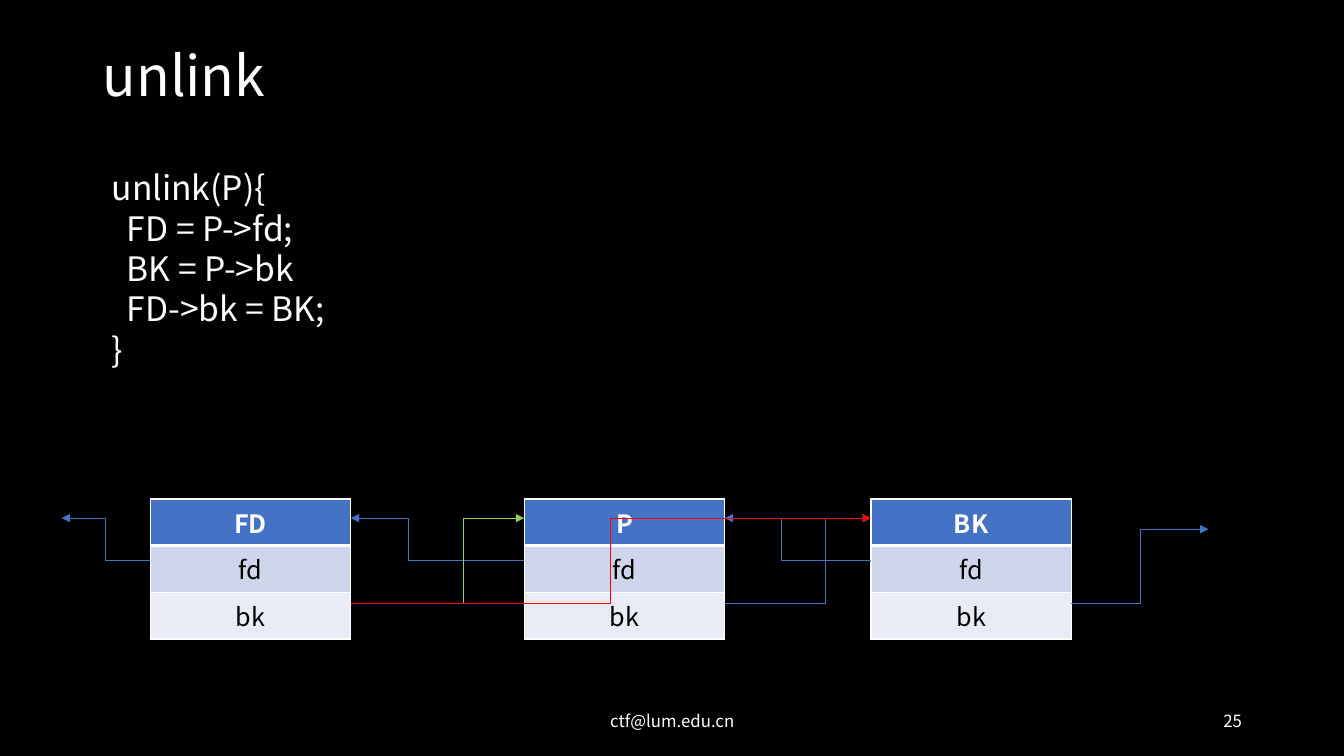
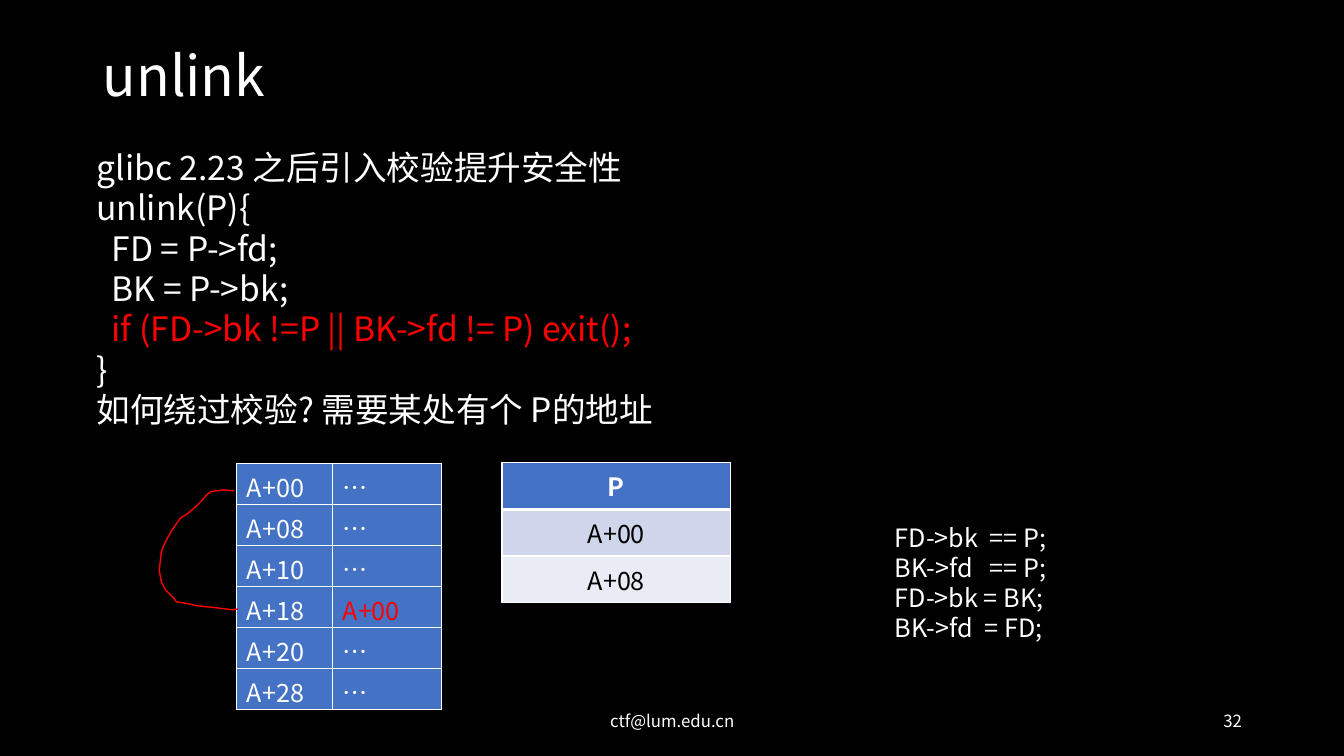
from dataclasses import dataclass

from lxml import etree
from pptx import Presentation
from pptx.dml.color import RGBColor
from pptx.enum.shapes import MSO_CONNECTOR
from pptx.enum.text import MSO_ANCHOR, PP_ALIGN
from pptx.oxml.ns import qn
from pptx.util import Pt

ELBOW = MSO_CONNECTOR.ELBOW
MID, TOP = MSO_ANCHOR.MIDDLE, MSO_ANCHOR.TOP
LEFT, MIDDLE, RIGHT = PP_ALIGN.LEFT, PP_ALIGN.CENTER, PP_ALIGN.RIGHT
UNIT = 9144  # EMU in one px, 100 px to the inch


@dataclass(frozen=True)
class Theme:
    font: str = "Noto Sans CJK SC"
    back: str = "000000"
    white: str = "FFFFFF"
    black: str = "000000"
    blue: str = "4472C4"
    pale: str = "CFD5EA"
    light: str = "E9EBF5"
    green: str = "92D050"
    red: str = "FF0000"
    title: float = 39.6
    code: int = 24
    body: int = 18
    small: int = 12


T = Theme()


def px(*nums):
    return [round(n * UNIT) for n in nums]


def rgb(code):
    return RGBColor.from_string(code)


def sub(node, tag, **attrs):
    return etree.SubElement(node, qn(tag), attrs)


# Text
def add_run(para, text, size, color=T.white, bold=False):
    run = para.add_run()
    run.text = text
    font = run.font
    font.name, font.size, font.bold = T.font, Pt(size), bold
    font.color.rgb = rgb(color)
    sub(font._element, "a:ea", typeface=T.font)


def add_text(slide, box, lines, size, anchor=TOP, align=LEFT, space=None):
    """Each line is (text, color, indent, tab stop), all but the text optional."""
    frame = slide.shapes.add_textbox(*px(*box)).text_frame
    frame.word_wrap = True
    frame.vertical_anchor = anchor
    for i, line in enumerate(lines):
        text, color, indent, stop = line + (T.white, 0, 0)[len(line) - 1:]
        para = frame.add_paragraph() if i else frame.paragraphs[0]
        para.alignment = align
        if space:
            para.line_spacing = space
        props = para._p.get_or_add_pPr()
        if indent:
            props.set("marL", str(indent * UNIT))
            props.set("indent", "0")
        if stop:
            tabs = sub(props, "a:tabLst")
            sub(tabs, "a:tab", pos=str(stop * UNIT), algn="l")
        add_run(para, text, size, color)


# Tables
def edge(cell, top=1, base=1):
    props = cell._tc.get_or_add_tcPr()
    for side, width in (("L", 1), ("R", 1), ("T", top), ("B", base)):
        line = sub(props, "a:ln" + side, w=str(Pt(width)))
        sub(sub(line, "a:solidFill"), "a:srgbClr", val=T.white)


def add_grid(slide, left, top, height, cols, rows):
    shape = slide.shapes.add_table(
        rows, len(cols), *px(left, top, sum(cols), height))
    table = shape.table
    table.first_row = table.horz_banding = False
    for col, width in zip(table.columns, cols):
        col.width = px(width)[0]
    return table


def fill_cell(cell, text, fill, color, align=LEFT, bold=False):
    cell.fill.solid()
    cell.fill.fore_color.rgb = rgb(fill)
    para = cell.text_frame.paragraphs[0]
    para.alignment = align
    add_run(para, text, T.body, color, bold)


def add_chunk(slide, left, top, width, texts):
    """Heap chunk: a header over its two pointers."""
    table = add_grid(slide, left, top, 139, [width], 3)
    looks = ((T.blue, T.white, 1, 3), (T.pale, T.black, 3, 1),
             (T.light, T.black, 1, 1))
    for i, (text, look) in enumerate(zip(texts, looks)):
        fill, color, high, low = look
        cell = table.cell(i, 0)
        edge(cell, high, low)
        fill_cell(cell, text, fill, color, MIDDLE, i == 0)


def add_dump(slide, left, top, rows):
    """Memory dump: address and value."""
    table = add_grid(slide, left, top, 244, [95, 108], len(rows))
    for i, row in enumerate(rows):
        for j, text in enumerate(row):
            cell = table.cell(i, j)
            edge(cell)
            hot = j == 1 and text != "…"
            fill_cell(cell, text, T.blue, T.red if hot else T.white)


# Lines
def add_link(slide, start, end, color, turn=50):
    """Elbow arrow that turns at a percentage of its width."""
    link = slide.shapes.add_connector(ELBOW, *px(*start, *end))
    link.line.color.rgb = rgb(color)
    link.line.width = Pt(0.5)
    props = link._element.spPr
    guides = props.find(qn("a:prstGeom")).get_or_add_avLst()
    sub(guides, "a:gd", name="adj1", fmla=f"val {turn * 1000}")
    sub(link.line._get_or_add_ln(), "a:tailEnd", type="triangle")
    sub(props, "a:effectLst")


def add_curve(slide, left, top, dots):
    spots = [(left + x, top + y) for x, y in dots]
    pen = slide.shapes.build_freeform(*spots[0], scale=UNIT)
    pen.add_line_segments(spots[1:], close=False)
    shape = pen.convert_to_shape()
    shape.fill.background()
    shape.line.color.rgb = rgb(T.red)
    shape.line.width = Pt(1)
    shape.shadow.inherit = False


# Shared frame of a slide
def add_slide(deck, number):
    slide = deck.slides.add_slide(deck.slide_layouts[6])
    slide.background.fill.solid()
    slide.background.fill.fore_color.rgb = rgb(T.back)
    add_text(slide, (92, 40, 1150, 75), [("unlink",)], T.title, MID, space=0.9)
    add_text(slide, (442, 695, 450, 40), [("ctf@lum.edu.cn",)],
             T.small, MID, MIDDLE)
    add_text(slide, (942, 695, 300, 40), [(str(number),)], T.small, MID, RIGHT)
    return slide


# Linked list of chunks
def add_list(slide, top):
    width = 199
    left, mid, right = 149, 520, 864
    for x, name in ((mid, "P"), (right, "BK"), (left, "FD")):
        add_chunk(slide, x, top, width, (name, "fd", "bk"))
    head, fd, bk = top + 19, top + 61, top + 104
    links = (
        (mid, fd, left + width, head, T.blue, 67),
        (left + width, bk, mid, head, T.green, 65),
        (mid + width, bk, right, head, T.blue, 69),
        (right, fd, mid + width, head, T.blue, 61),
        (right + width, bk, 1199, top + 30, T.blue, 50),
        (left, fd, 61, head, T.blue, 50),
        (left + width, bk, right, head, T.red, 50),
    )
    for x, y, to_x, to_y, color, turn in links:
        add_link(slide, (x, y), (to_x, to_y), color, turn)


def draw_list(deck):
    slide = add_slide(deck, 25)
    add_text(slide, (101, 161, 495, 212), [
        ("unlink(P){",),
        ("FD = P->fd;", T.white, 15),
        ("BK = P->bk", T.white, 15),
        ("FD->bk = BK;", T.white, 15),
        ("}",),
    ], T.code)
    add_list(slide, 495)


def draw_check(deck):
    slide = add_slide(deck, 32)
    add_chunk(slide, 498, 459, 227, ("P", "A+00", "A+08"))
    add_text(slide, (86, 141, 1162, 293), [
        ("glibc 2.23 之后引入校验提升安全性",),
        ("unlink(P){",),
        ("FD = P->fd;", T.white, 15),
        ("BK = P->bk;", T.white, 15),
        ("if (FD->bk !=P || BK->fd != P) exit();", T.red, 15),
        ("}",),
        ("如何绕过校验? 需要某处有个 P的地址",),
    ], T.code)
    # Memory with the pointer back to its start
    cells = ["…"] * 6
    cells[3] = "A+00"
    add_dump(slide, 235, 460,
             [(f"A+{i * 8:02X}", text) for i, text in enumerate(cells)])
    # Checks and writes
    add_text(slide, (878, 513, 343, 162), [
        ("FD->bk\t== P;", T.white, 0, 94),
        ("BK->fd\t== P;", T.white, 0, 94),
        ("FD->bk = BK;",),
        ("BK->fd\t= FD;", T.white, 0, 89),
    ], T.body)
    add_curve(slide, 158, 486, [
        (78, 118), (73, 119), (57, 117), (38, 115), (29, 113), (17, 111),
        (14, 107), (9, 102), (6, 99), (2, 91), (0, 80), (2, 62), (4, 56),
        (7, 50), (12, 41), (16, 35), (21, 28), (29, 23), (37, 16), (42, 11),
        (47, 5), (51, 2), (56, 1), (64, 0), (74, 1),
    ])


def main():
    deck = Presentation()
    deck.slide_width, deck.slide_height = px(1333.33, 750)
    draw_list(deck)
    draw_check(deck)
    deck.save("out.pptx")


if __name__ == "__main__":
    main()
